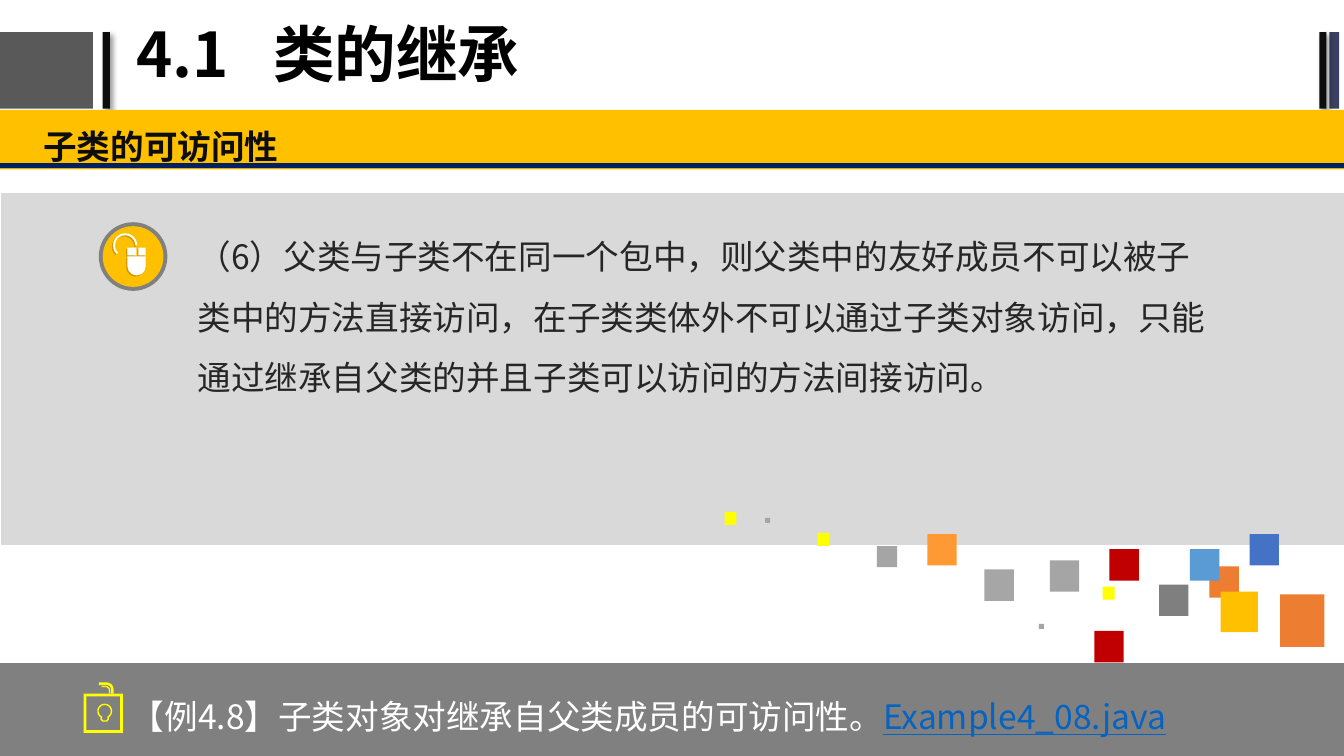
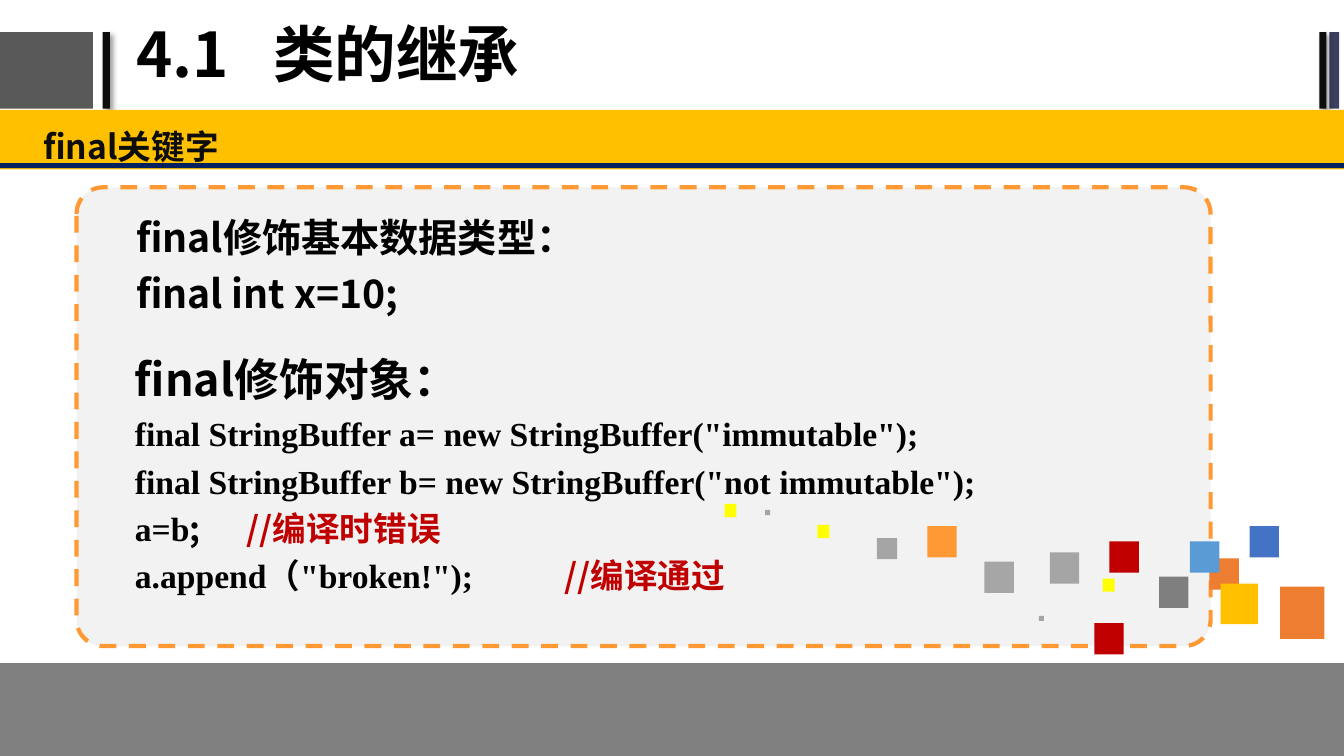
from math import cos, radians, sin

from lxml import etree
from pptx import Presentation
from pptx.dml.color import RGBColor
from pptx.enum.dml import MSO_LINE
from pptx.enum.shapes import MSO_SHAPE
from pptx.enum.text import MSO_ANCHOR, MSO_AUTO_SIZE, PP_ALIGN
from pptx.oxml.ns import qn
from pptx.util import Cm, Pt

RECT, OVAL, ROUND = MSO_SHAPE.RECTANGLE, MSO_SHAPE.OVAL, MSO_SHAPE.ROUNDED_RECTANGLE
ARC, FRAME, BODY = MSO_SHAPE.BLOCK_ARC, MSO_SHAPE.FRAME, MSO_SHAPE.ROUND_2_SAME_RECTANGLE
DASH, LEFT, MIDDLE, FIXED = MSO_LINE.DASH, PP_ALIGN.LEFT, MSO_ANCHOR.MIDDLE, MSO_AUTO_SIZE.NONE
SANS, SERIF = "Noto Sans CJK SC", "Times New Roman"
BLACK, WHITE, GOLD, YELLOW = "000000", "FFFFFF", "FFC000", "FFFF00"
RED, GRAY, SILVER, ORANGE = "C00000", "808080", "A5A5A5", "ED7D31"
INK = "0D0D0D"
WIDE, HIGH = 33.87, 19.05
DOT, TINY, SMALL, MID, LARGE, HUGE = (
    (0.13, 0.13), (0.3, 0.33), (0.51, 0.53), (0.74, 0.79), (0.94, 1.02), (1.12, 1.32))
TILES = [
    (14, 2.08, HUGE, ORANGE), (12.22, 1.37, MID, ORANGE),
    (12.5, 2.01, LARGE, GOLD), (11.73, 0.94, MID, "5B9BD5"),
    (7.92, 2.82, DOT, SILVER), (13.23, 0.56, MID, "4472C4"),
    (9.53, 1.88, TINY, YELLOW), (8.2, 1.22, MID, SILVER),
    (9.7, 0.94, MID, RED), (10.95, 1.83, MID, "7F7F7F"),
    (9.32, 3, MID, RED), (1.02, 0.15, DOT, SILVER),
    (2.34, 0.53, TINY, YELLOW), (3.84, 0.86, SMALL, SILVER),
    (5.11, 0.56, MID, "FF9933"), (6.55, 1.45, MID, "A6A6A6"),
    (0, 0, TINY, YELLOW),
]


def paint(target, color):
    """Give a fill, line or font one solid colour."""
    if hasattr(target, "solid"):
        target.solid()
        target = target.fore_color
    else:
        target = target.color
    target.rgb = RGBColor.from_string(color)


def shape(shapes, kind, box, fill, line=None, width=1, adjust=(), alpha=None):
    """Add a filled preset shape in a box given in centimetres."""
    item = shapes.add_shape(kind, *map(Cm, box))
    item.shadow.inherit = False
    paint(item.fill, fill)
    if line:
        paint(item.line, line)
        item.line.width = Pt(width)
    else:
        item.line.fill.background()
    for spot, value in enumerate(adjust):
        item.adjustments[spot] = value
    if alpha:
        tint = item.fill._xPr.find(qn("a:solidFill"))[0]
        etree.SubElement(tint, qn("a:alpha"), val=str(alpha * 1000))
    return item


def stroke(shapes, points, width, close=False):
    """Draw a yellow outline through points."""
    spots = [(Cm(x), Cm(y)) for x, y in points]
    pen = shapes.build_freeform(*spots[0])
    pen.add_line_segments(spots[1:], close=close)
    item = pen.convert_to_shape()
    item.shadow.inherit = False
    item.fill.background()
    paint(item.line, YELLOW)
    item.line.width = Pt(width)


def curve(x, y, radius, start, end, steps=24):
    """Return points along a circular arc, in degrees."""
    turns = [radians(start + (end - start) * i / steps) for i in range(steps + 1)]
    return [(x + radius * cos(t), y + radius * sin(t)) for t in turns]


def text(frame, parts, size, lead=1, before=0, tab=None, **base):
    """Write one paragraph of (words, format) parts into a frame."""
    par = frame.paragraphs[0]
    if par.runs:
        par = frame.add_paragraph()
    if tab:
        tabs = etree.SubElement(par._p.get_or_add_pPr(), qn("a:tabLst"))
        etree.SubElement(tabs, qn("a:tab"), pos=str(Cm(tab)), algn="l")
    par.alignment = LEFT
    par.line_spacing = lead
    par.space_before = Pt(before)
    for words, extra in [(parts, {})] if isinstance(parts, str) else parts:
        look = {"color": BLACK, "font": SANS, "bold": False, "under": False, **base, **extra}
        run = par.add_run()
        run.text = words
        run.font.size = Pt(size)
        run.font.name = look["font"]
        run.font.bold = look["bold"]
        run.font.underline = look["under"]
        paint(run.font.fill, look["color"])
        etree.SubElement(run.font._element, qn("a:ea"), typeface=SANS)


def label(shapes, box, inset=(0.33, 0.18)):
    """Add a wrapping text box and return its frame."""
    frame = shapes.add_textbox(*map(Cm, box)).text_frame
    frame.word_wrap = True
    frame.margin_left = frame.margin_right = Cm(inset[0])
    frame.margin_top = frame.margin_bottom = Cm(inset[1])
    return frame


def header(slide, topic):
    """Place the side bars, title and topic band."""
    shapes = slide.shapes
    bars = [(-0.05, 2.39, "595959"), (2.59, 0.18, INK),
            (33.5, 0.25, "3B3F60"), (33.25, 0.18, INK)]
    for x, width, color in bars:
        bar = shape(shapes, RECT, (x, 0.81, width, 1.93), color)
        if color == INK:
            glow = etree.SubElement(
                bar._element.spPr.find(qn("a:effectLst")), qn("a:outerShdw"),
                blurRad=str(Pt(4)), dist=str(Pt(3)), dir="2700000")
            tint = etree.SubElement(glow, qn("a:srgbClr"), val=BLACK)
            etree.SubElement(tint, qn("a:alpha"), val="40000")
    title = shapes.title
    title.left, title.top, title.width, title.height = map(Cm, (3.18, 0.05, 21.51, 2.79))
    frame = title.text_frame
    frame.auto_size, frame.vertical_anchor = FIXED, MIDDLE
    text(frame, "4.1\t类的继承", 44, lead=0.9, tab=3.45, bold=True)
    shape(shapes, RECT, (0, 2.77, WIDE, 1.5), GOLD)
    band = label(shapes, (0.76, 2.79, 33.1, 1.47))
    text(band, topic, 24, lead=1.2, color=INK, bold=True)
    shape(shapes, RECT, (0, 4.11, WIDE, 0.13), "002060")


def footer(slide):
    """Place the grey strip at the foot."""
    shape(slide.shapes, RECT, (0, 16.71, WIDE, HIGH - 16.71), GRAY)


def tiles(slide, left, top):
    """Scatter the coloured squares from a corner."""
    group = slide.shapes.add_group_shape().shapes
    for x, y, size, color in TILES:
        shape(group, RECT, (left + x, top + y, *size), color)


def mouse(shapes, x, y, color, alpha=None):
    """Draw a computer mouse and its cord."""
    parts = [(RECT, (0.36, 0.36, 0.23, 0.2), (), 0),
             (RECT, (0.64, 0.36, 0.18, 0.2), (), 0),
             (BODY, (0.36, 0.58, 0.46, 0.48), (0.5, 0), 180),
             (ARC, (0, 0, 0.61, 0.61), (81, 0, 0.08), 0)]
    for kind, (dx, dy, width, height), adjust, turn in parts:
        item = shape(shapes, kind, (x + dx, y + dy, width, height), color,
                     adjust=adjust, alpha=alpha)
        item.rotation = turn


def badge(slide, x, y):
    """Place the round mouse badge."""
    group = slide.shapes.add_group_shape().shapes
    shape(group, OVAL, (x, y, 1.73, 1.73), GRAY)
    shape(group, OVAL, (x + 0.1, y + 0.1, 1.53, 1.53), GOLD)
    mouse(group, x + 0.33, y + 0.31, BLACK, 20)
    mouse(group, x + 0.36, y + 0.28, WHITE)


def lock(slide, x, y):
    """Place the lock icon with a bulb inside."""
    group = slide.shapes.add_group_shape().shapes
    shape(group, FRAME, (x, y + 0.28, 0.99, 0.99), YELLOW, adjust=(0.07,))
    for start, turn, radius, top, width in ((0.38, 0.58, 0.14, 0.03, 1.8),
                                            (0.45, 0.55, 0.1, 0.1, 0.9)):
        bend = curve(x + turn, y + top + radius, radius, -90, 0)
        stroke(group, [(x + start, y + top), *bend, (x + turn + radius, y + 0.28)], width)
    neck = [(0.62, 0.92), (0.58, 0.97), (0.48, 0.97), (0.44, 0.92)]
    bulb = curve(x + 0.53, y + 0.72, 0.17, 120, 420)
    stroke(group, bulb + [(x + dx, y + dy) for dx, dy in neck], 1, close=True)


def access(slide):
    """Build the slide on access from subclasses."""
    shapes = slide.shapes
    shape(shapes, RECT, (0, 4.85, WIDE, 8.89), "D9D9D9", WHITE, 0.25)
    header(slide, "子类的可访问性")
    body = label(shapes, (4.65, 5.26, 26.14, 12.52))
    text(body, "（6）父类与子类不在同一个包中，则父类中的友好成员不可以被子类中的方法直接访问，"
         "在子类类体外不可以通过子类对象访问，只能通过继承自父类的并且子类可以访问的方法间接访问。",
         24, lead=1.5, color="262626")
    badge(slide, 2.49, 5.6)
    footer(slide)
    lock(slide, 2.11, 17.2)
    note = label(shapes, (2.97, 17.15, 28.35, 2.59))
    text(note, [("【例4.8】子类对象对继承自父类成员的可访问性。", {}),
                ("Example4_08.java", {"color": "0563C1", "under": True})],
         24, lead=1.2, color=WHITE)
    tiles(slide, 18.26, 12.9)


def final(slide):
    """Build the slide on the final keyword."""
    header(slide, "final关键字")
    panel = shape(slide.shapes, ROUND, (1.93, 4.72, 28.58, 11.56), "F2F2F2",
                  "FF9933", 3, (0.058,))
    panel.line.dash_style = DASH
    tiles(slide, 18.26, 12.7)
    footer(slide)
    basic = label(slide.shapes, (3.18, 5.38, 22.4, 3.81), (0.25, 0.13))
    for words, before in (("final修饰基本数据类型：", 0), ("final int x=10;", 10)):
        text(basic, words, 28, lead=0.9, before=before, bold=True)
    code = label(slide.shapes, (3.15, 8.89, 22.4, 3.81), (0.25, 0.13))
    text(code, "final修饰对象：", 32, lead=0.9, bold=True)
    sans, note = {"font": SANS}, {"font": SANS, "color": RED}
    rows = [
        ('final StringBuffer a= new StringBuffer("immutable");', None),
        ('final StringBuffer b= new StringBuffer("not immutable");', None),
        ([("a=b", {}), (";\t", sans), ("//编译时错误", note)], 2.82),
        ([('a.append（"broken!");\t', {}), ("//编译通过", note)], 10.83),
    ]
    for parts, tab in rows:
        text(code, parts, 24, before=5, tab=tab, font=SERIF, bold=True)


def main():
    """Build and save the deck."""
    deck = Presentation()
    deck.slide_width, deck.slide_height = Cm(WIDE), Cm(HIGH)
    for build in (access, final):
        build(deck.slides.add_slide(deck.slide_layouts[5]))
    deck.save("out.pptx")


if __name__ == "__main__":
    main()
